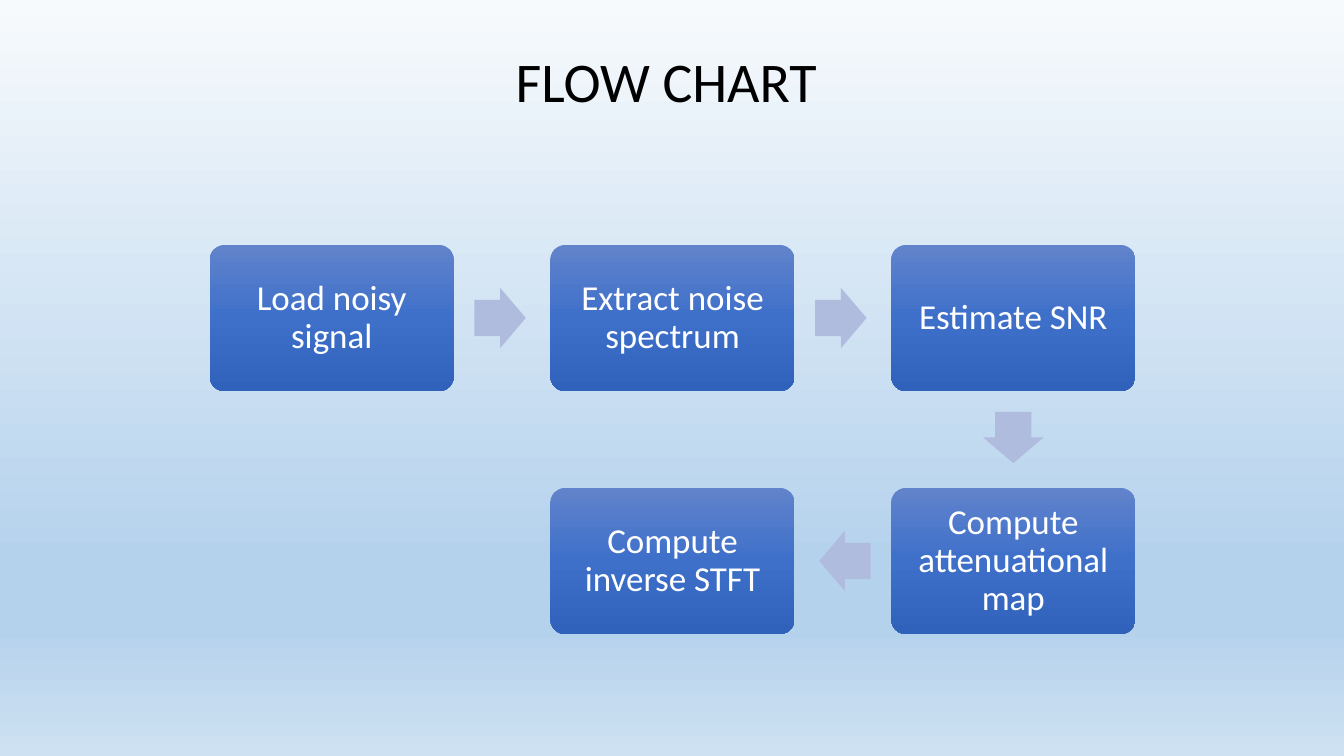
from lxml.etree import SubElement
from pptx import Presentation
from pptx.dml.color import RGBColor as RGB
from pptx.enum.shapes import MSO_SHAPE as SHAPE
from pptx.enum.text import MSO_ANCHOR as ANCHOR, MSO_AUTO_SIZE as AUTO, PP_ALIGN as ALIGN
from pptx.oxml.ns import qn
from pptx.util import Inches, Pt

COLORS = {"title": "000000", "label": "FFFFFF", "arrow": "B0BCDE"}
SKY = [(0, "F7FAFD"), (74, "B5D2EC"), (83, "B5D2EC"), (100, "CEE1F2")]
BLUE = [(0, "6183CB"), (50, "3E70CA"), (100, "3062BB")]

# Grid of steps, in inches
LEFT, TOP = 2.08, 2.43
STEP_X, STEP_Y = 3.38, 2.41
BOX_W, BOX_H = 2.42, 1.45
ARROW_W, ARROW_H = 0.51, 0.6
PULL = 0.02  # each arrow sits slightly nearer to the step it leaves

# Label, column, row in the order of the flow
STEPS = [
    ("Load noisy signal", 0, 0),
    ("Extract noise spectrum", 1, 0),
    ("Estimate SNR", 2, 0),
    ("Compute attenuational map", 2, 1),
    ("Compute inverse STFT", 1, 1),
]
TURNS = {(1, 0): 0, (0, 1): 90, (-1, 0): 180}


def shade(fill, root, stops):
    """Fill from top to bottom with any number of colour stops."""
    fill.gradient()
    fill.gradient_angle = 270
    ramp = next(root.iter(qn("a:gsLst")))
    for old in list(ramp):
        ramp.remove(old)
    for share, color in stops:
        stop = SubElement(ramp, qn("a:gs"), pos=str(share * 1000))
        SubElement(stop, qn("a:srgbClr"), val=color)


def write(frame, text, size, color):
    frame.word_wrap = True
    frame.text = text
    para = frame.paragraphs[0]
    para.alignment = ALIGN.CENTER
    font = para.runs[0].font
    font.name, font.size = "Calibri", Pt(size)
    font.color.rgb = RGB.from_string(COLORS[color])
    return para


def add_form(slide, kind, mid, size, adjust):
    """Add a preset shape around its middle point, without line or shadow."""
    spot = [Inches(m - s / 2) for m, s in zip(mid, size)]
    form = slide.shapes.add_shape(kind, *spot, *map(Inches, size))
    for i, value in enumerate(adjust):
        form.adjustments[i] = value
    form.shadow.inherit = False
    form.line.fill.background()
    return form


def center(col, row):
    return LEFT + col * STEP_X + BOX_W / 2, TOP + row * STEP_Y + BOX_H / 2


def add_step(slide, label, col, row):
    box = add_form(slide, SHAPE.ROUNDED_RECTANGLE, center(col, row), (BOX_W, BOX_H), [0.1])
    shade(box.fill, box._element, BLUE)
    frame = box.text_frame
    frame.vertical_anchor = ANCHOR.MIDDLE
    frame.margin_left = frame.margin_right = Inches(0.14)
    frame.margin_top = frame.margin_bottom = Inches(0.14)
    write(frame, label, 25, "label").line_spacing = 0.9


def add_arrow(slide, start, end):
    """Add a block arrow in the gap between two neighbouring steps."""
    way = tuple(b - a for a, b in zip(start, end))
    ends = zip(center(*start), center(*end), way)
    mid = [(a + b) / 2 - PULL * w for a, b, w in ends]
    arrow = add_form(slide, SHAPE.RIGHT_ARROW, mid, (ARROW_W, ARROW_H), [0.6, 0.5])
    arrow.rotation = TURNS[way]
    arrow.fill.solid()
    arrow.fill.fore_color.rgb = RGB.from_string(COLORS["arrow"])


def add_title(slide, text):
    box = slide.shapes.add_textbox(*map(Inches, (1.8, 0.41, 9.74, 0.77)))
    write(box.text_frame, text, 40, "title")
    box.text_frame.auto_size = AUTO.SHAPE_TO_FIT_TEXT


def main():
    deck = Presentation()
    deck.slide_width, deck.slide_height = Inches(13.33), Inches(7.5)
    slide = deck.slides.add_slide(deck.slide_layouts[6])
    shade(slide.background.fill, slide._element, SKY)
    for step in STEPS:
        add_step(slide, *step)
    for start, end in zip(STEPS, STEPS[1:]):
        add_arrow(slide, start[1:], end[1:])
    add_title(slide, "FLOW CHART ")
    deck.save("out.pptx")


if __name__ == "__main__":
    main()
